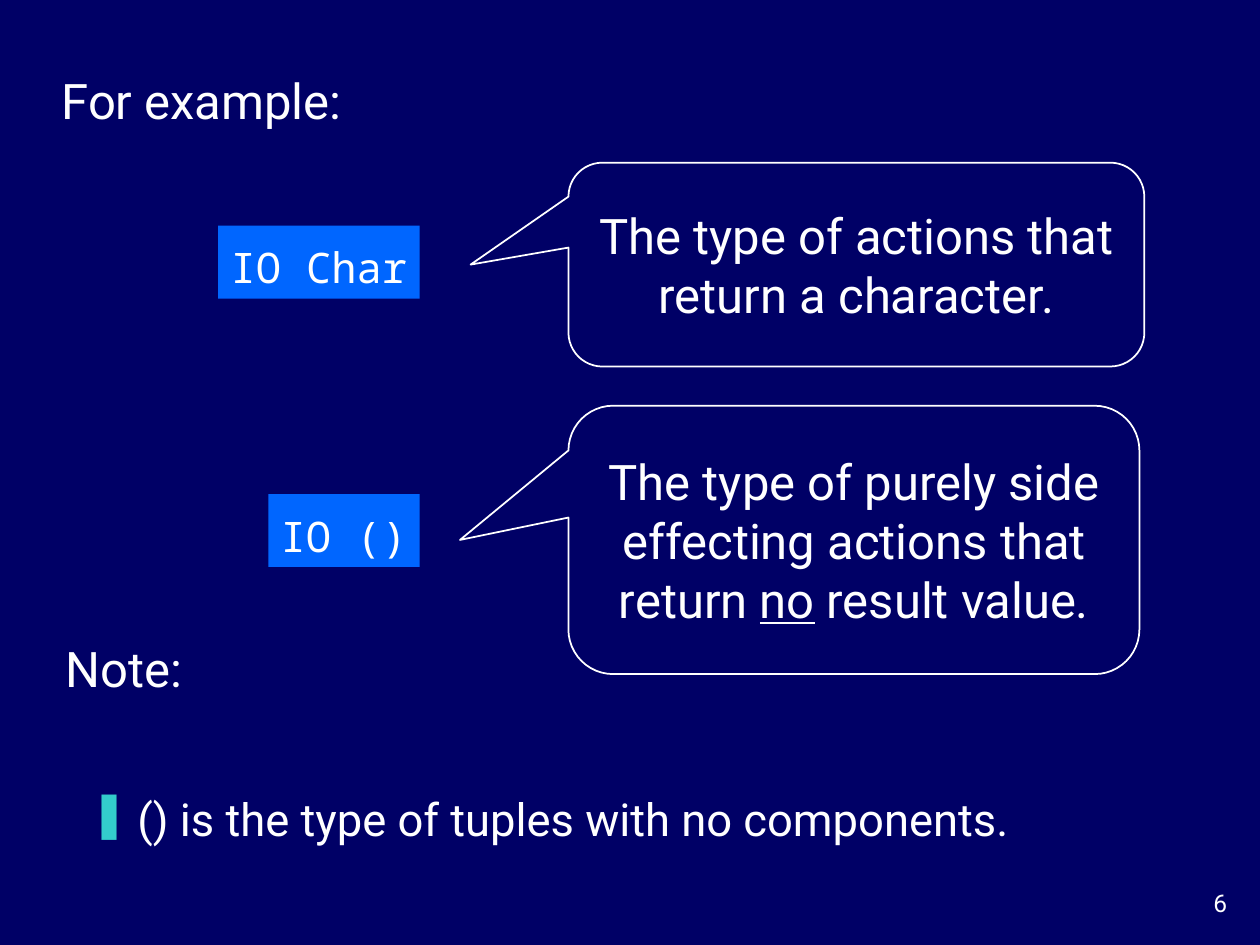
from dataclasses import dataclass
from lxml.etree import SubElement as Sub
from pptx import Presentation
from pptx.dml.color import RGBColor as Rgb
from pptx.enum.shapes import MSO_SHAPE as Kind
from pptx.enum.text import MSO_ANCHOR as Anchor, MSO_AUTO_SIZE as Auto, PP_ALIGN as Align
from pptx.oxml.ns import qn
from pptx.util import Cm, Pt


@dataclass(frozen=True)
class Theme:
    back: str = "000066"
    ink: str = "FFFFFF"
    code: str = "0066FF"
    mark: str = "33CCCC"
    sans: str = "Roboto"
    mono: str = "Noto Sans Mono"
    body: float = 28
    mid: float = 24
    item: float = 25.9
    small: float = 14


THEME = Theme()
HEADS = [("For example:", (0.99, 1.3, 6.5, 1.45)), ("Note:", (1.07, 12.75, 3.02, 1.45))]
CODES = [("IO Char", 4.55, 4.06), ("IO ()", 9.96, 3.05)]
CALLS = [
    (["The type of actions that return a character."],
     (3.28, 11.61, 4.11), (-0.67, 0)),
    (["The type of purely side effecting actions that return ", "*no", " result value."],
     (8.18, 11.51, 5.41), (-0.69, 0)),
]
POINT = ("() is the type of tuples with no components.", (1.57, 15.95, 21.01, 1.75))
PAGE = ("6", (23.29, 17.78, 1.7, 0.84))
EDGE, HIGH, LEFT = 8.46, 1.47, 11.46


def write(shape, runs, size, font=THEME.sans, align=Align.LEFT,
          anchor=Anchor.MIDDLE, wrap=False, grow=True):
    frame = shape.text_frame
    frame.word_wrap = wrap
    frame.auto_size = Auto.SHAPE_TO_FIT_TEXT if grow else Auto.NONE
    frame.vertical_anchor = anchor
    para = frame.paragraphs[0]
    para.alignment = align
    for text in runs:
        run = para.add_run()
        run.text = text.removeprefix("*")
        run.font.name = font
        run.font.size = Pt(size)
        run.font.color.rgb = Rgb.from_string(THEME.ink)
        if text.startswith("*"):
            run.font.underline = True
    return para


def label(slide, text, box, size, **look):
    shape = slide.shapes.add_textbox(*map(Cm, box))
    return write(shape, [text], size, **look)


def form(slide, kind, box):
    shape = slide.shapes.add_shape(kind, *map(Cm, box))
    shape.shadow.inherit = False
    return shape


def code(slide, text, top, wide):
    shape = form(slide, Kind.RECTANGLE, (EDGE - wide, top, wide, HIGH))
    shape.fill.solid()
    shape.fill.fore_color.rgb = Rgb.from_string(THEME.code)
    shape.line.fill.background()
    write(shape, [text], THEME.mid, THEME.mono).line_spacing = 1.2


def call(slide, runs, place, tip):
    shape = form(slide, Kind.ROUNDED_RECTANGULAR_CALLOUT, (LEFT, *place))
    shape.adjustments[0], shape.adjustments[1] = tip
    shape.fill.background()
    shape.line.color.rgb = Rgb.from_string(THEME.ink)
    shape.line.width = Pt(1)
    write(shape, runs, THEME.body, align=Align.CENTER, wrap=True)


def bullet(para, char):
    props = para._p.get_or_add_pPr()
    props.set("marL", str(Cm(0.95)))
    props.set("indent", str(-Cm(0.95)))
    Sub(Sub(props, qn("a:buClr")), qn("a:srgbClr"), val=THEME.mark)
    Sub(props, qn("a:buChar"), char=char)
    para.line_spacing = 0.9


def main():
    deck = Presentation()
    deck.slide_width, deck.slide_height = Cm(25.4), Cm(19.05)
    slide = deck.slides.add_slide(deck.slide_layouts[6])
    slide.background.fill.solid()
    slide.background.fill.fore_color.rgb = Rgb.from_string(THEME.back)
    for text, box in HEADS:
        label(slide, text, box, THEME.body)
    for row in CODES:
        code(slide, *row)
    for row in CALLS:
        call(slide, *row)
    flat = dict(anchor=Anchor.TOP, wrap=True, grow=False)
    bullet(label(slide, *POINT, THEME.item, **flat), "❚")
    label(slide, *PAGE, THEME.small, align=Align.RIGHT, **flat)
    deck.save("out.pptx")


if __name__ == "__main__":
    main()
